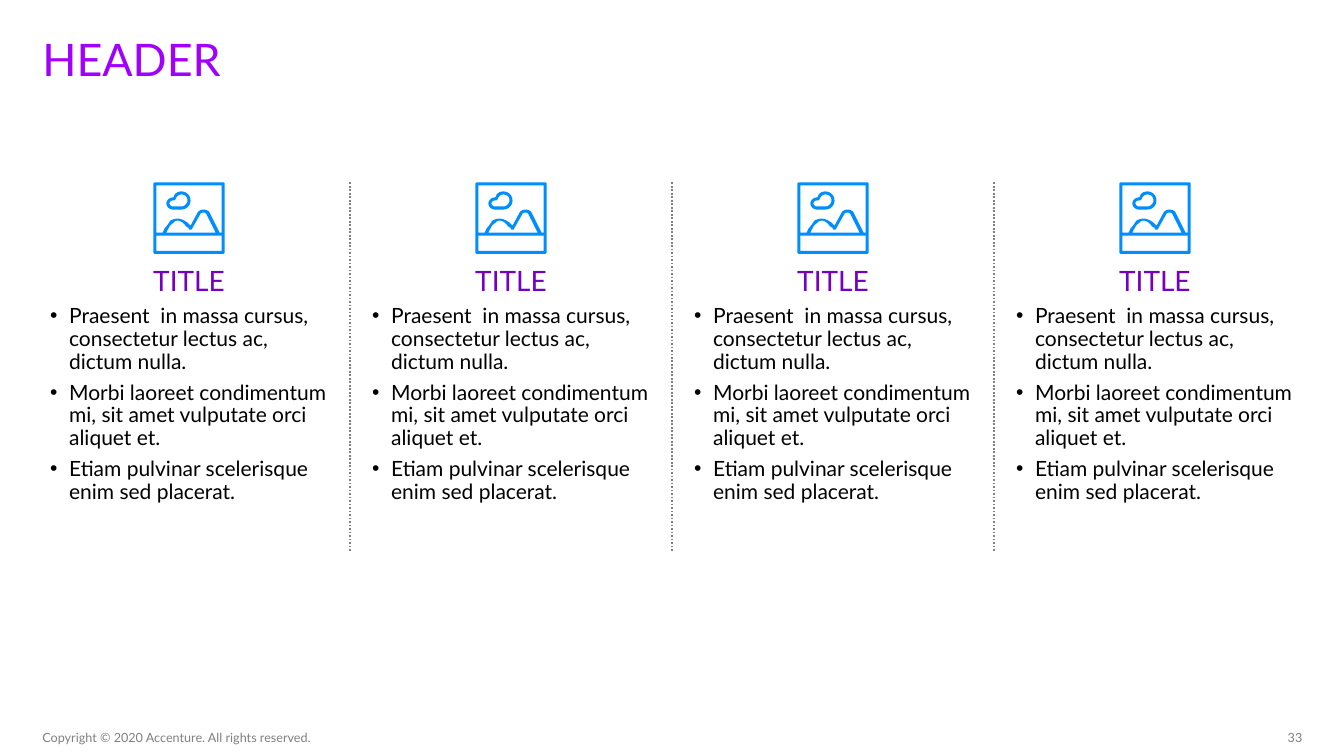
from lxml.etree import SubElement
from pptx import Presentation
from pptx.dml.color import RGBColor
from pptx.enum.dml import MSO_LINE
from pptx.enum.shapes import MSO_CONNECTOR
from pptx.enum.text import MSO_ANCHOR, MSO_AUTO_SIZE, PP_ALIGN
from pptx.oxml.ns import qn
from pptx.util import Pt

PURPLE = RGBColor(0xA1, 0x00, 0xFF)
DARK_PURPLE = RGBColor(0x75, 0x00, 0xC0)
BLUE = RGBColor(0x00, 0x8E, 0xFF)
GREY = RGBColor(0x80, 0x80, 0x80)
BLACK = RGBColor(0x00, 0x00, 0x00)
FONT = "Lato"

MARGIN = 30.24
CONTENT_WIDTH = 900
COLUMN_COUNT = 4
COLUMN_WIDTH = 209.6
COLUMN_PITCH = 230
COLUMN_TOP = 130.3
COLUMN_HEIGHT = 264.3
ICON_SIZE = 51
ICON_UNITS = 71
CURVE_STEPS = 8

BULLETS = [
    "Praesent  in massa cursus, consectetur lectus ac, dictum nulla.",
    "Morbi laoreet condimentum mi, sit amet vulputate orci aliquet et.",
    "Etiam pulvinar scelerisque enim sed placerat.",
]

FRAME = [(1, 0), (70, 0), (71, 1), (71, 70), (70, 71), (1, 71), (0, 70), (0, 1)]
SKY = [
    (68, 3), (68, 50), (66, 50), (56, 30), (55, 28, 52, 27, 50, 27),
    (48, 27, 45, 28, 44, 30), (37, 43), (36, 42, 35, 41, 34, 40),
    (31, 38, 28, 36, 24, 36), (21, 36, 19, 37, 17, 38),
    (15, 41, 13, 44, 11, 46), (10, 48, 10, 49, 9, 50), (3, 50), (3, 3),
]
HILLS = [
    (36, 47), (38, 47), (47, 31), (48, 30, 49, 30, 50, 30),
    (51, 30, 52, 30, 53, 32), (62, 50), (13, 50), (13, 49, 15, 46, 16, 44),
    (17, 42, 19, 41, 20, 40), (21, 39, 22, 38, 24, 38),
    (27, 38, 30, 40, 32, 43), (33, 44, 34, 45, 35, 45), (35, 46),
]
GROUND = [(3, 53), (68, 53), (68, 68), (3, 68)]
CLOUD_OUTER = [
    (19, 27), (28, 27), (33, 27, 37, 23, 37, 18), (37, 13, 33, 9, 28, 9),
    (24, 9, 21, 11, 20, 15), (19, 15), (16, 15, 13, 18, 13, 21),
    (13, 24, 16, 27, 19, 27),
]
CLOUD_INNER = [
    (19, 18), (21, 18), (22, 17), (23, 14, 25, 12, 28, 12),
    (31, 12, 34, 14, 34, 18), (34, 21, 31, 24, 28, 24), (19, 24),
    (18, 24, 16, 22, 16, 21), (16, 19, 18, 18, 19, 18),
]
ICON_PARTS = [[FRAME, SKY, HILLS, GROUND], [CLOUD_OUTER, CLOUD_INNER]]


def trace(segments):
    """Turn line ends and cubic segments into a list of points."""
    points = [segments[0]]
    for segment in segments[1:]:
        if len(segment) == 2:
            points.append(segment)
            continue
        start, first, second, end = points[-1], segment[:2], segment[2:4], segment[4:]
        for step in range(1, CURVE_STEPS + 1):
            t = step / CURVE_STEPS
            s = 1 - t
            points.append(tuple(
                s**3 * a + 3 * s * s * t * b + 3 * s * t * t * c + t**3 * d
                for a, b, c, d in zip(start, first, second, end)))
    return points


def style(para, size, color, spacing=None, align=PP_ALIGN.LEFT):
    """Format a paragraph and its runs."""
    para.alignment = align
    if spacing:
        para.line_spacing = spacing
    for span in para.runs:
        span.font.name = FONT
        span.font.size = Pt(size)
        span.font.color.rgb = color


def prepare_frame(frame, inset=0, anchor=MSO_ANCHOR.TOP):
    """Set wrapping, insets and anchor of a text frame."""
    frame.word_wrap = True
    frame.auto_size = MSO_AUTO_SIZE.NONE
    frame.vertical_anchor = anchor
    frame.margin_left = frame.margin_right = Pt(inset)
    frame.margin_top = frame.margin_bottom = 0


def add_text(page, left, top, width, height, text, inset=0, anchor=MSO_ANCHOR.TOP):
    """Add a text box and return its text frame."""
    box = page.shapes.add_textbox(Pt(left), Pt(top), Pt(width), Pt(height))
    prepare_frame(box.text_frame, inset, anchor)
    box.text_frame.text = text
    return box.text_frame


def add_header(page, left, top, width, height):
    """Place and format the slide title."""
    title = page.shapes.title
    title.left, title.top, title.width, title.height = map(Pt, (left, top, width, height))
    prepare_frame(title.text_frame)
    title.text_frame.text = "HEADER"
    style(title.text_frame.paragraphs[0], 32, PURPLE, 0.8)


def add_icon(page, left, top, size):
    """Draw the landscape icon as a group of two outlines."""
    unit = size / ICON_UNITS
    icon = page.shapes.add_group_shape()
    for contours in ICON_PARTS:
        builder = None
        for contour in contours:
            points = [(Pt(left + x * unit), Pt(top + y * unit)) for x, y in trace(contour)]
            if builder is None:
                builder = icon.shapes.build_freeform(*points[0])
            else:
                builder.move_to(*points[0])
            builder.add_line_segments(points[1:], close=True)
        part = builder.convert_to_shape()
        part.shadow.inherit = False
        part.fill.solid()
        part.fill.fore_color.rgb = BLUE
        part.line.fill.background()


def add_bullet(para):
    """Give a paragraph a round bullet and a hanging indent."""
    properties = para._p.get_or_add_pPr()
    properties.set("marL", str(Pt(13.5)))
    properties.set("indent", str(Pt(-13.5)))
    SubElement(properties, qn("a:buFont")).set("typeface", "Arial")
    SubElement(properties, qn("a:buChar")).set("char", "•")


def add_column(page, left, top, width, height):
    """Place icon, title and bullets in one column."""
    add_icon(page, left + (width - ICON_SIZE) / 2, top, ICON_SIZE)
    heading = add_text(page, left, top + 62.7, width, 20, "TITLE")
    style(heading.paragraphs[0], 20, DARK_PURPLE, 0.8, PP_ALIGN.CENTER)
    body = add_text(page, left, top + 88, width, height - 88, "\n".join(BULLETS), 5.67)
    for index, para in enumerate(body.paragraphs):
        add_bullet(para)
        style(para, 15, BLACK, 0.9)
        para.space_before = Pt(6 if index else 0)


def add_divider(page, x, top, height):
    """Draw a dotted vertical line."""
    line = page.shapes.add_connector(
        MSO_CONNECTOR.STRAIGHT, Pt(x), Pt(top), Pt(x), Pt(top + height))
    line.line.color.rgb = GREY
    line.line.width = Pt(1.25)
    line.line.dash_style = MSO_LINE.ROUND_DOT
    SubElement(line._element.spPr, qn("a:effectLst"))


def add_footer(page, left, top, width, height):
    """Place the copyright line and the page number."""
    notice = add_text(page, left, top, 214.6, height,
                      "Copyright © 2020 Accenture. All rights reserved.",
                      anchor=MSO_ANCHOR.BOTTOM)
    style(notice.paragraphs[0], 9, GREY)
    number = add_text(page, left + width - 49, top, 49, height, "33",
                      anchor=MSO_ANCHOR.BOTTOM)
    style(number.paragraphs[0], 9, GREY, align=PP_ALIGN.RIGHT)


def main():
    """Build the four-column slide."""
    deck = Presentation()
    deck.slide_width, deck.slide_height = Pt(960), Pt(540)
    page = deck.slides.add_slide(deck.slide_layouts[5])
    add_header(page, MARGIN, MARGIN, CONTENT_WIDTH, 70.6)
    for index in range(COLUMN_COUNT):
        left = MARGIN + index * COLUMN_PITCH
        add_column(page, left, COLUMN_TOP, COLUMN_WIDTH, COLUMN_HEIGHT)
        if index:
            gap = COLUMN_PITCH - COLUMN_WIDTH
            add_divider(page, left - gap / 2, COLUMN_TOP, COLUMN_HEIGHT)
    add_footer(page, MARGIN, 521.3, CONTENT_WIDTH, 10.8)
    deck.save("out.pptx")


if __name__ == "__main__":
    main()
